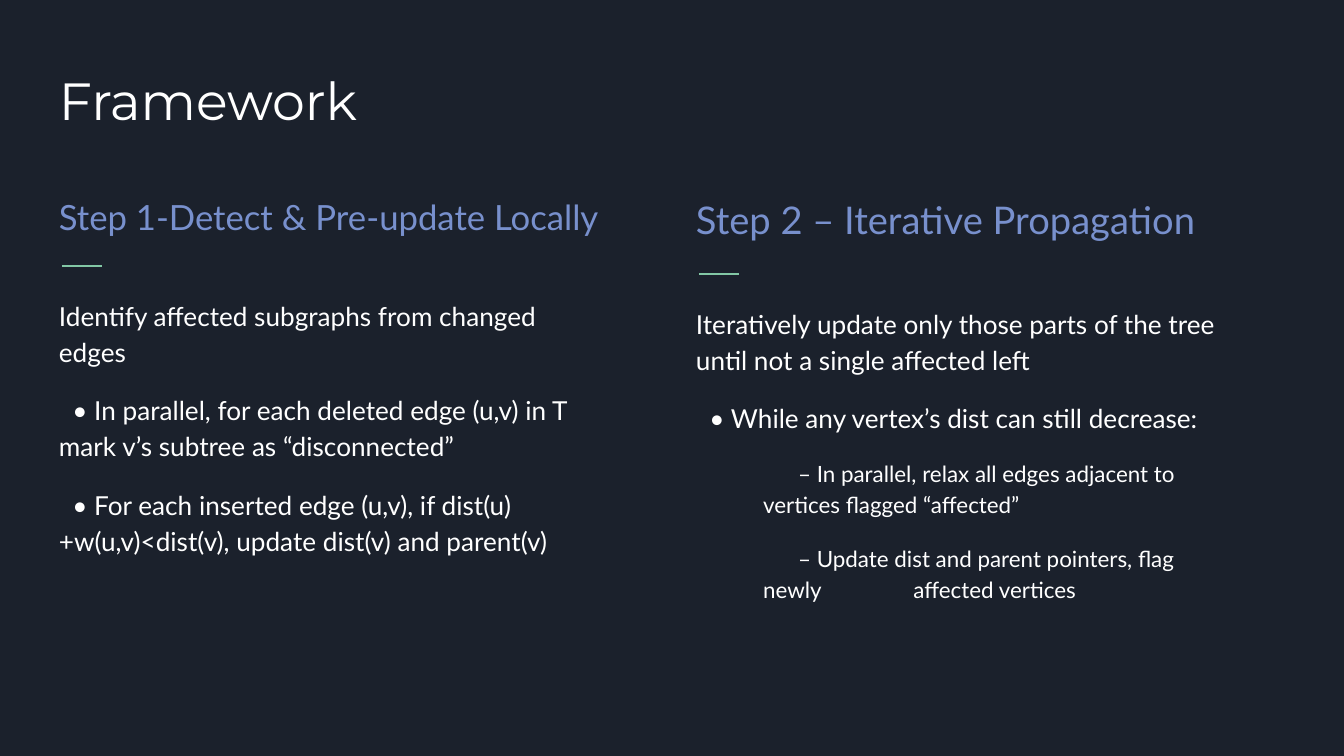
from lxml import etree
from pptx import Presentation
from pptx.dml.color import RGBColor
from pptx.enum import shapes, text
from pptx.oxml.ns import qn
from pptx.util import Inches, Pt

BACKGROUND = RGBColor(0x1B, 0x21, 0x2C)
WHITE = RGBColor(0xFF, 0xFF, 0xFF)
BLUE = RGBColor(0x78, 0x90, 0xCD)
GREEN = RGBColor(0x82, 0xC7, 0xA5)

# Content: each body line is (level, text); a line in two pieces has a wide gap
TITLE = "Framework"
STEPS = [
    {"heading": "Step 1-Detect & Pre‑update Locally", "size": 18.6,
     "left": 0.34, "heading_width": 4.5, "rule_top": 1.98,
     "body": [
         ("lead", "Identify affected subgraphs from changed edges"),
         ("bullet", "• In parallel, for each deleted edge (u,v) in T "
                    "mark v’s subtree as “disconnected”"),
         ("bullet", "• For each inserted edge (u,v), if dist(u)+w(u,v)<dist(v), "
                    "update dist(v) and parent(v)"),
     ]},
    {"heading": "Step 2 – Iterative Propagation", "size": 20.4,
     "left": 5.08, "heading_width": 4.21, "rule_top": 2.04,
     "body": [
         ("lead", "Iteratively update only those parts of the tree "
                  "until not a single affected left"),
         ("bullet", "• While any vertex’s dist can still decrease:"),
         ("dash", "– In parallel, relax all edges adjacent to "
                  "vertices flagged “affected”"),
         ("dash", "– Update dist and parent pointers, flag newly", "affected vertices"),
     ]},
]

# Level: font size, left margin, first-line indent, space before
LEVELS = {"lead": (14, 0, 0, 0), "bullet": (14, 0, 0.1, 12), "dash": (12, 0.5, 0.26, 12)}
WIDE_GAP = 46  # points added to a single space
INSET = 0.1
RULE_INSET, RULE_LENGTH = 0.12, 0.3
BODY_GAP, BODY_WIDTH, BODY_HEIGHT = 0.12, 4.21, 3.01
HEADING_TOP, HEADING_HEIGHT = 1.31, 0.57


def add_text_frame(slide, left, top, width, height):
    box = slide.shapes.add_textbox(*map(Inches, (left, top, width, height)))
    frame = box.text_frame
    frame.word_wrap = True
    frame.vertical_anchor = text.MSO_ANCHOR.TOP
    frame.margin_left = frame.margin_right = Inches(INSET)
    frame.margin_top = frame.margin_bottom = Inches(INSET)
    return frame


def style(paragraph, size, color, font="Lato"):
    paragraph.font.size = Pt(size)
    paragraph.font.name = font
    paragraph.font.color.rgb = color


def add_rule(slide, left, top):
    rule = slide.shapes.add_connector(
        shapes.MSO_CONNECTOR.STRAIGHT,
        *map(Inches, (left, top, left + RULE_LENGTH, top)))
    rule.line.color.rgb = GREEN
    rule.line.width = Pt(0.75)
    etree.SubElement(rule._element.spPr, qn("a:effectLst"))


def indent(paragraph, margin, first_line):
    properties = paragraph._p.get_or_add_pPr()
    properties.set("marL", str(Inches(margin)))
    properties.set("indent", str(Inches(first_line)))


def add_pieces(paragraph, pieces):
    for number, piece in enumerate(pieces):
        if number:
            gap = paragraph.add_run()
            gap.text = " "
            gap._r.get_or_add_rPr().set("spc", str(WIDE_GAP * 100))
        paragraph.add_run().text = piece


def add_body(slide, left, top, lines):
    frame = add_text_frame(slide, left, top, BODY_WIDTH, BODY_HEIGHT)
    for number, (level, *pieces) in enumerate(lines):
        paragraph = frame.add_paragraph() if number else frame.paragraphs[0]
        size, margin, first_line, before = LEVELS[level]
        add_pieces(paragraph, pieces)
        paragraph.line_spacing = 1.15
        paragraph.space_before = Pt(before)
        style(paragraph, size, WHITE)
        indent(paragraph, margin, first_line)


def add_step(slide, step):
    left, rule_top = step["left"], step["rule_top"]
    heading = add_text_frame(slide, left, HEADING_TOP, step["heading_width"],
                             HEADING_HEIGHT).paragraphs[0]
    heading.text = step["heading"]
    heading.line_spacing = 1.15
    style(heading, step["size"], BLUE)
    add_rule(slide, left + RULE_INSET, rule_top)
    add_body(slide, left, rule_top + BODY_GAP, step["body"])


def main():
    presentation = Presentation()
    presentation.slide_width = Inches(10)
    presentation.slide_height = Inches(10) * 9 // 16
    slide = presentation.slides.add_slide(presentation.slide_layouts[6])
    slide.background.fill.solid()
    slide.background.fill.fore_color.rgb = BACKGROUND

    # Title
    title = add_text_frame(slide, 0.34, 0.41, 9.32, 0.8).paragraphs[0]
    title.text = TITLE
    style(title, 28, WHITE, "Montserrat")

    # Two steps side by side
    for step in STEPS:
        add_step(slide, step)

    presentation.save("out.pptx")


if __name__ == "__main__":
    main()
